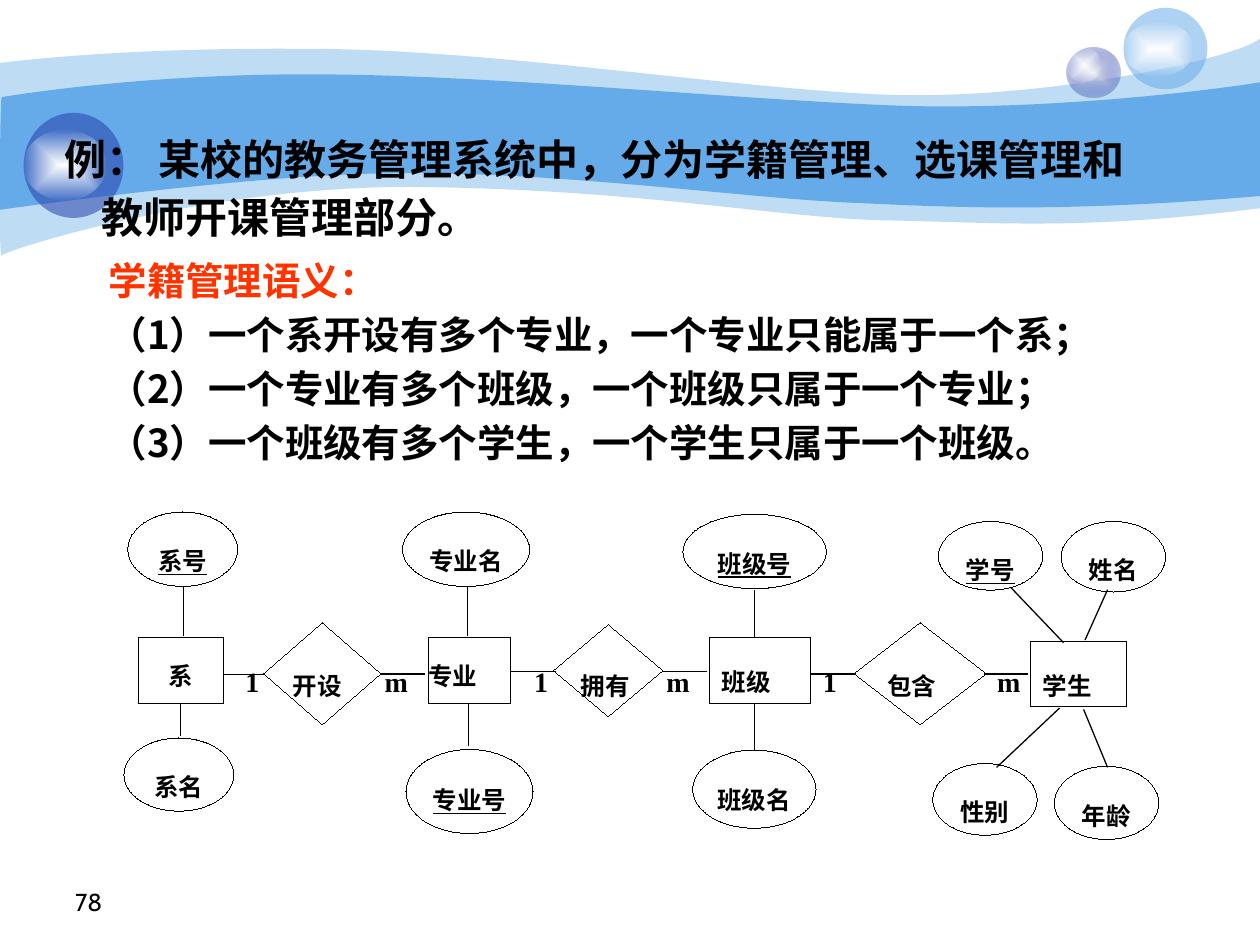
from dataclasses import dataclass

from lxml import etree
from pptx import Presentation
from pptx.dml.color import RGBColor
from pptx.enum import shapes, text
from pptx.oxml import parse_xml
from pptx.oxml.ns import nsdecls, qn
from pptx.util import Pt


@dataclass(frozen=True)
class Theme:
    black: str = "000000"
    white: str = "FFFFFF"
    red: str = "FF3300"
    sky: str = "65AAE9"
    navy: str = "233DA9"
    mist: str = "E1E2ED"
    cjk: str = "Noto Sans CJK SC"
    serif: str = "Times New Roman"
    sans: str = "Cabin"
    intro: int = 24
    rule: int = 22
    card: int = 16
    label: int = 14


T = Theme()


def style(p, content, size, name, color=T.black, bold=True):
    p.text = content
    f = p.font
    f.size, f.name, f.bold = Pt(size), name, bold
    f.color.rgb = RGBColor.from_string(color)
    ea = etree.SubElement(f._element, qn("a:ea"))
    ea.set("typeface", T.cjk)


def paint(s, *stops):
    s.shadow.inherit = False
    s.line.fill.background()
    tints = [
        f'<a:srgbClr val="{c}"><a:alpha val="{alpha * 1000}"/></a:srgbClr>'
        for c, alpha in stops
    ]
    if len(tints) == 1:
        xml = f'<a:solidFill {nsdecls("a")}>{tints[0]}</a:solidFill>'
    else:
        xml = (
            f'<a:gradFill {nsdecls("a")} rotWithShape="1"><a:gsLst>'
            f'<a:gs pos="0">{tints[0]}</a:gs><a:gs pos="100000">{tints[1]}</a:gs>'
            '</a:gsLst><a:path path="shape">'
            '<a:fillToRect l="50000" t="50000" r="50000" b="50000"/>'
            '</a:path></a:gradFill>'
        )
    s._element.spPr.insert(2, parse_xml(xml))


prs = Presentation()
prs.slide_width, prs.slide_height = Pt(720), Pt(540)
slide = prs.slides.add_slide(prs.slide_layouts[6])
sh = slide.shapes

waves = [
    (41, (0, 36), [
        [(17, 34), (77, 27), (178, 28)], [(278, 28), (414, 50), (503, 54)],
        [(592, 58), (706, 34), (720, 22)], [(720, 119)],
        [(618, 132), (567, 127), (508, 126)], [(448, 125), (371, 109), (247, 107)],
        [(124, 104), (3, 143), (1, 146)], [(-1, 150), (0, 54), (0, 36)],
    ]),
    (100, (1, 55.5), [
        [(1, 55.5), (79, 42), (179, 42.5)], [(278, 42.5), (428, 57.5), (517, 60.5)],
        [(607, 63), (703, 50), (720, 47)], [(720, 112)],
        [(614, 121), (551, 119), (491, 116)], [(431, 114), (322, 98), (228, 99)],
        [(146, 99), (-1, 120), (-1, 120)], [(0, 120), (0, 55.5), (1, 55.5)],
    ]),
]
for alpha, start, segments in waves:
    fb = sh.build_freeform(Pt(start[0]), Pt(start[1]))
    for segment in segments:
        fb.add_line_segments([(Pt(x), Pt(y)) for x, y in segment], close=False)
    s = fb.convert_to_shape()
    outline = s._element.spPr.find(".//" + qn("a:path"))
    lines = iter(outline.findall(qn("a:lnTo")))
    for segment in segments:
        first = next(lines)
        if len(segment) == 3:
            first.tag = qn("a:cubicBezTo")
            for _ in range(2):
                extra = next(lines)
                first.append(extra[0])
                outline.remove(extra)
    etree.SubElement(outline, qn("a:close"))
    paint(s, (T.sky, alpha))

glow = ((T.white, 100), (T.white, 0))
bubbles = [
    (609.5, 27, 31, 29, ((T.mist, 100), (T.navy, 31))),
    (609.5, 27, 20, 20, glow),
    (642, 4.5, 48, 46.5, ((T.sky, 53),)),
    (642, 12.5, 40, 31, glow),
    (13.5, 64.5, 57, 60, ((T.navy, 53),)),
    (13.5, 74, 47.5, 40.5, glow),
]
for x, y, w, h, stops in bubbles:
    s = sh.add_shape(shapes.MSO_SHAPE.OVAL, Pt(x), Pt(y), Pt(w), Pt(h))
    paint(s, *stops)

tf = sh.add_textbox(Pt(24), Pt(68.7), Pt(648), Pt(85)).text_frame
tf.word_wrap = True
p = tf.paragraphs[0]
p.line_spacing = Pt(33)
pPr = p._p.get_or_add_pPr()
pPr.set("marL", str(Pt(27)))
pPr.set("indent", str(Pt(-21)))
style(p, "例： 某校的教务管理系统中，分为学籍管理、选课管理和教师开课管理部分。", T.intro, T.cjk)

tf = sh.add_textbox(Pt(37), Pt(139.3), Pt(669), Pt(130)).text_frame
tf.word_wrap = True
tf.vertical_anchor = text.MSO_ANCHOR.MIDDLE
rules = [
    ("学籍管理语义：", T.red),
    ("（1）一个系开设有多个专业，一个专业只能属于一个系；", T.black),
    ("（2）一个专业有多个班级，一个班级只属于一个专业；", T.black),
    ("（3）一个班级有多个学生，一个学生只属于一个班级。", T.black),
]
for i, (content, color) in enumerate(rules):
    p = tf.add_paragraph() if i else tf.paragraphs[0]
    p.line_spacing = Pt(30.8)
    p._p.get_or_add_pPr().set("indent", str(Pt(18)))
    style(p, content, T.rule, T.cjk, color)

entity = shapes.MSO_SHAPE.FLOWCHART_PROCESS
relation = shapes.MSO_SHAPE.FLOWCHART_DECISION
attribute = shapes.MSO_SHAPE.FLOWCHART_CONNECTOR
keys = {"系号", "专业号", "班级号", "学号"}
inset = {"班级", "学生"}
nodes = [
    (entity, "系", 79, 364.3, 48.5, 37.5),
    (entity, "专业", 244.8, 364.3, 47, 37.5),
    (entity, "班级", 405.4, 364.3, 57.6, 37.5),
    (entity, "学生", 588.8, 366.5, 55, 37.5),
    (relation, "开设", 150.7, 355.7, 67, 58.3),
    (relation, "拥有", 316.3, 356.8, 62.6, 52.6),
    (relation, "包含", 488, 355.7, 75.6, 58.3),
    (attribute, "系号", 73, 292.6, 62.8, 42.5),
    (attribute, "专业名", 230, 292.6, 72.6, 42.5),
    (attribute, "系名", 70.8, 421.7, 62.8, 41.8),
    (attribute, "专业号", 232, 428.3, 72.6, 48),
    (attribute, "班级号", 390.2, 293.9, 82, 42.5),
    (attribute, "班级名", 395.8, 428.6, 70.5, 44.7),
    (attribute, "学号", 536.2, 298, 59.7, 39.2),
    (attribute, "姓名", 606.4, 298, 59.7, 40.3),
    (attribute, "性别", 533, 436.3, 59.7, 41),
    (attribute, "年龄", 602.5, 437.9, 59.7, 41.8),
]
for kind, content, x, y, w, h in nodes:
    s = sh.add_shape(kind, Pt(x), Pt(y), Pt(w), Pt(h))
    s.shadow.inherit = False
    s.fill.solid()
    s.fill.fore_color.rgb = RGBColor.from_string(T.white)
    s.line.color.rgb = RGBColor.from_string(T.black)
    s._element.spPr.find(qn("a:ln")).set("w", "0")
    tf = s.text_frame
    tf.word_wrap = True
    tf.vertical_anchor = text.MSO_ANCHOR.TOP
    if content not in inset:
        tf.margin_left = tf.margin_top = tf.margin_right = tf.margin_bottom = Pt(0)
    p = tf.paragraphs[0]
    centred = kind == attribute or content == "系"
    p.alignment = text.PP_ALIGN.CENTER if centred else text.PP_ALIGN.JUSTIFY
    p.line_spacing = 1.8
    style(p, content, T.label, T.serif)
    if content in keys:
        p.font.underline = True

links = [
    (105, 336, 105, 363, 0), (103, 402, 103, 420.5, 0), (267, 336, 267, 363, 0),
    (431.3, 402, 431.3, 429, 0), (431.3, 337.7, 431.3, 364.3, 0),
    (127.5, 385.2, 150.5, 385.2, 0), (217.5, 385.2, 242.6, 385.2, 0.75),
    (317.5, 383.8, 292.3, 383.8, 0.75), (378.7, 383.8, 404, 383.8, 0.75),
    (488.9, 385.2, 463.7, 385.2, 0.75), (562.3, 385.2, 587.5, 385.2, 0.75),
    (632.9, 337, 620, 365.8, 0.75), (577.4, 335.5, 607.7, 367.2, 0.75),
    (267.8, 402, 267.8, 426.2, 0.75), (619.2, 405.4, 632.9, 438.5, 0.75),
    (605.5, 404.6, 569.5, 438.5, 0.75),
]
for x1, y1, x2, y2, width in links:
    s = sh.add_connector(shapes.MSO_CONNECTOR.STRAIGHT, Pt(x1), Pt(y1), Pt(x2), Pt(y2))
    s.line.color.rgb = RGBColor.from_string(T.black)
    s._element.spPr.find(qn("a:ln")).set("w", str(Pt(width)))
    etree.SubElement(s._element.spPr, qn("a:effectLst"))

tf = sh.add_textbox(Pt(133.2), Pt(360.7), Pt(561.6), Pt(28)).text_frame
tf.word_wrap = True
p = tf.paragraphs[0]
p.line_spacing = 1.8
tabs = etree.SubElement(p._p.get_or_add_pPr(), qn("a:tabLst"))
for stop in (79.5, 165, 240.5, 330, 429.5):
    etree.SubElement(tabs, qn("a:tab"), pos=str(Pt(stop)), algn="l")
style(p, "1\tm\t1\tm\t1\tm", T.card, T.serif)

tf = sh.add_textbox(Pt(19.5), Pt(491), Pt(46), Pt(36)).text_frame
tf.word_wrap = True
tf.vertical_anchor = text.MSO_ANCHOR.BOTTOM
p = tf.paragraphs[0]
p.alignment = text.PP_ALIGN.RIGHT
style(p, "78", T.label, T.sans, bold=False)

prs.save("out.pptx")
